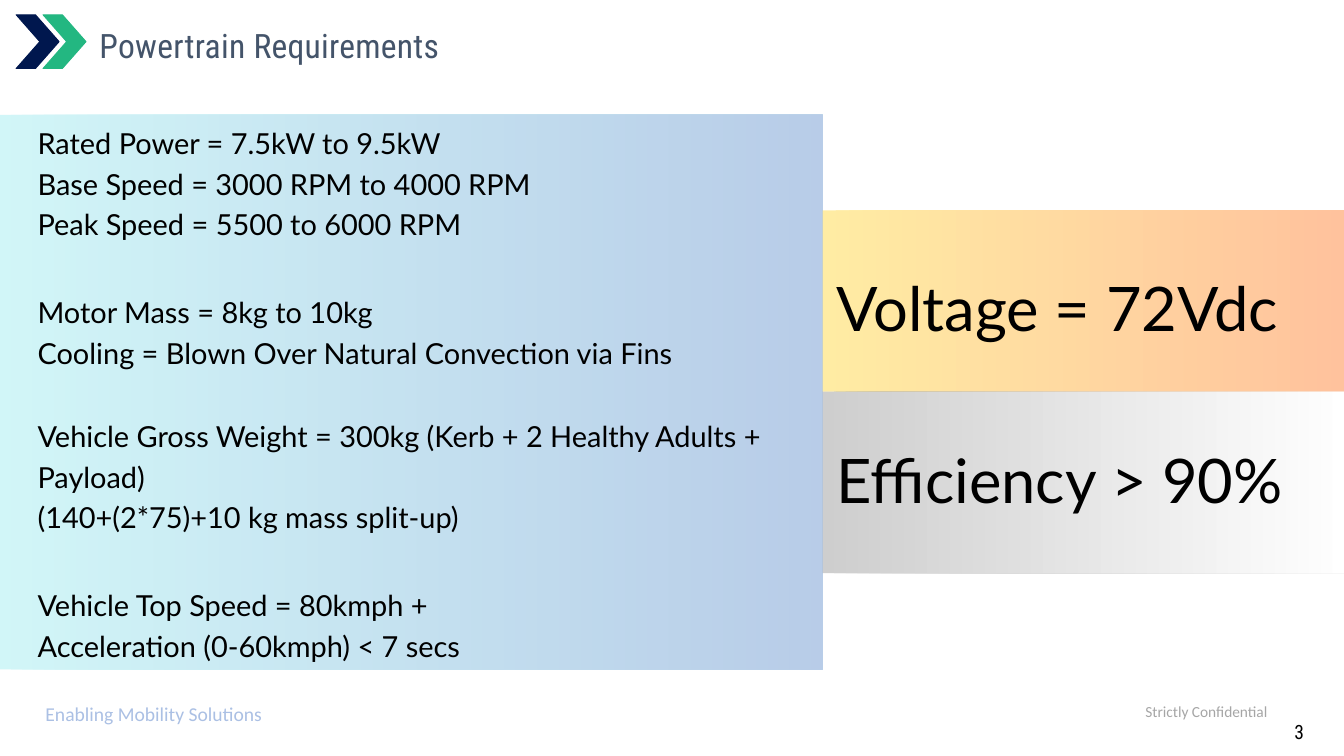
import pptx
import pptx.dml.color
import pptx.enum.shapes
import pptx.enum.text
import pptx.oxml.ns
import pptx.util
from lxml import etree

# Slide grid: 20 columns by 11.25 rows of square cells; boxes are (left, top, width, height).
COLUMNS, ROWS = 20, 11.25
CELL = pptx.util.Inches(1)
SHAPES = pptx.enum.shapes.MSO_SHAPE
ALIGN = pptx.enum.text.PP_ALIGN


def cells(*lengths):
    return [round(length * CELL) for length in lengths]


def color(hex_string):
    return pptx.dml.color.RGBColor.from_string(hex_string)


def add_text(slide, box, lines, size, leading, font="Lato", fill="000000",
             align=ALIGN.LEFT, tracking=0):
    frame = slide.shapes.add_textbox(*cells(*box)).text_frame
    frame.word_wrap = True
    frame.margin_left = frame.margin_right = frame.margin_top = frame.margin_bottom = 0
    frame.text = "\n".join(lines)
    for paragraph in frame.paragraphs:
        paragraph.alignment = align
        paragraph.line_spacing = pptx.util.Pt(leading)
        paragraph.font.name = font
        paragraph.font.size = pptx.util.Pt(size)
        paragraph.font.color.rgb = color(fill)
        if tracking:
            properties = paragraph._p.pPr.find(pptx.oxml.ns.qn("a:defRPr"))
            properties.set("spc", str(round(tracking * 100)))


def add_gradient_panel(slide, box, start, end, opacity):
    """Rectangle fading from left to right, opacity in percent."""
    panel = slide.shapes.add_shape(SHAPES.RECTANGLE, *cells(*box))
    panel.shadow.inherit = False
    panel.line.fill.background()
    panel.fill.gradient()
    panel.fill.gradient_angle = 0
    for stop, shade in zip(panel.fill.gradient_stops, (start, end)):
        stop.color.rgb = color(shade)
    for shade in panel.fill._xPr.iter(pptx.oxml.ns.qn("a:srgbClr")):
        alpha = etree.SubElement(shade, pptx.oxml.ns.qn("a:alpha"))
        alpha.set("val", str(opacity * 1000))


def add_header(slide, box):
    left, top, width, height = box
    for offset, shade in ((0.4, "23B781"), (0, "00174E")):
        chevron = slide.shapes.add_shape(
            SHAPES.CHEVRON, *cells(left + offset, top, 0.64, height))
        chevron.adjustments[0] = 0.55
        chevron.shadow.inherit = False
        chevron.fill.solid()
        chevron.fill.fore_color.rgb = color(shade)
        chevron.line.color.rgb = color(shade)
        chevron.line.width = pptx.util.Pt(1)
    add_text(slide, (left + 1.24, top + 0.21, width - 1.24, 0.54),
             ["Powertrain Requirements"], 36, 38.9, "Roboto Condensed", "44546A",
             tracking=0.3)


def add_requirements(slide, box):
    left, top, width, height = box
    add_gradient_panel(slide, box, "5DE0E6", "004AAD", 28)
    groups = [
        (0.08, 1.74, ["Rated Power = 7.5kW to 9.5kW",
                      "Base Speed = 3000 RPM to 4000 RPM",
                      "Peak Speed = 5500 to 6000 RPM"]),
        (2.59, 1.15, ["Motor Mass = 8kg to 10kg",
                      "Cooling = Blown Over Natural Convection via Fins"]),
        (4.44, 1.74, ["Vehicle Gross Weight = 300kg (Kerb + 2 Healthy Adults + Payload)",
                      "(140+(2*75)+10 kg mass split-up)"]),
        (6.95, 1.15, ["Vehicle Top Speed = 80kmph +",
                      "Acceleration (0-60kmph) < 7 secs"]),
    ]
    for offset, group_height, lines in groups:
        add_text(slide, (left + 0.56, top + offset, width - 1.01, group_height),
                 lines, 31, 43.4)


def add_key_figure(slide, box, figure, offset, start, end):
    left, top, width, height = box
    add_gradient_panel(slide, box, start, end, 55)
    add_text(slide, (left + 0.21, top + offset, width - 0.41, 1.19), [figure], 65.8, 92)


def add_footer(slide, box):
    left, top, width, height = box
    add_text(slide, (left + width - 3.77, top, 2.63, height), ["Strictly Confidential"],
             16.5, 17.8, "Calibri", "A6A6A6", ALIGN.RIGHT)
    add_text(slide, (left, top, 3.9, height), ["Enabling Mobility Solutions"],
             21, 22.7, "Calibri", "ABC0E4", ALIGN.RIGHT)
    add_text(slide, (left + width - 0.94, top + 0.23, 0.55, 0.29), ["3"],
             21, 25.2, "Roboto Condensed", align=ALIGN.CENTER, tracking=0.2)


def main():
    presentation = pptx.Presentation()
    presentation.slide_width, presentation.slide_height = cells(COLUMNS, ROWS)
    slide = presentation.slides.add_slide(presentation.slide_layouts[6])

    split, figure_top, figure_height = 12.24, 3.13, 2.7
    add_header(slide, (0.24, 0.22, 15.45, 0.8))
    add_footer(slide, (0, 10.48, COLUMNS, 0.5))
    add_requirements(slide, (0, 1.71, split, 8.25))
    figures = [("Voltage = 72Vdc", 0.71, "FFDE59", "FF914D"),
               ("Efficiency > 90%", 0.57, "A6A6A6", "FFFFFF")]
    for row, figure in enumerate(figures):
        box = (split, figure_top + row * figure_height, COLUMNS - split, figure_height)
        add_key_figure(slide, box, *figure)

    presentation.save("out.pptx")


if __name__ == "__main__":
    main()
